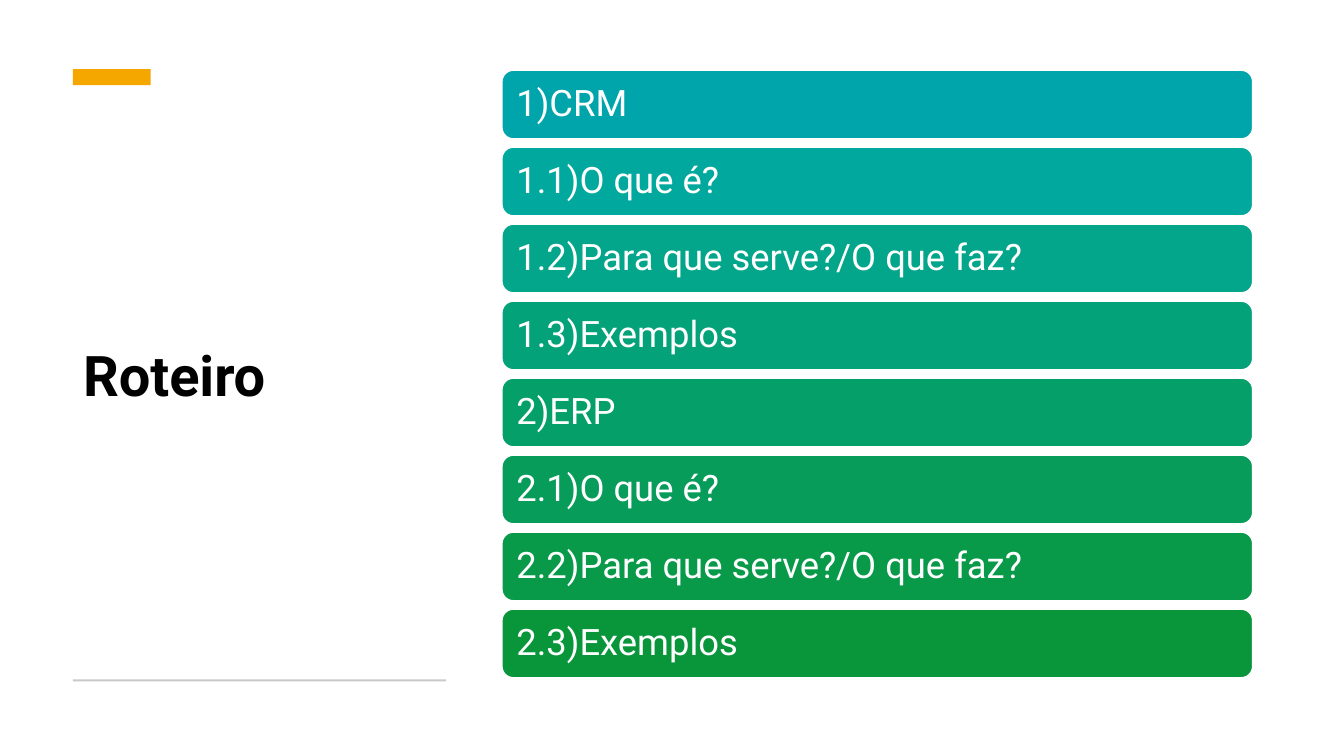
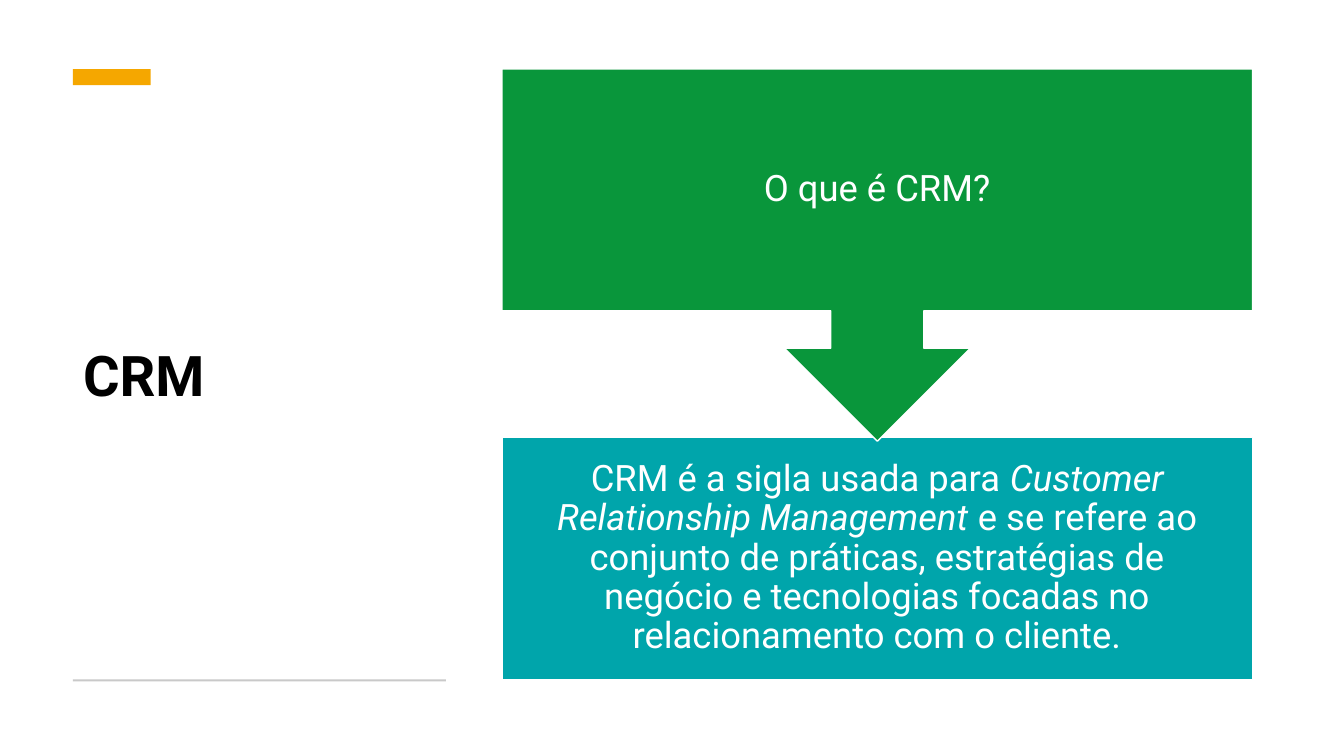
from dataclasses import dataclass

from pptx import Presentation
from pptx.dml.color import RGBColor
from pptx.enum import shapes, text
from pptx.util import Cm, Pt


@dataclass(frozen=True)
class Theme:
    font: str = "Roboto"
    title_size: int = 40
    body_size: int = 26
    line_spacing: float = 0.9
    ink: str = "000000"
    white: str = "FFFFFF"
    accent: str = "F5A700"
    rule: str = "C9C9C9"
    teal: str = "00A5AB"
    green: str = "09963B"
    # Gradual change from teal to green, one colour per agenda item
    steps: tuple = (teal, "01A89E", "03A58B", "04A279",
                    "059F69", "079C59", "089949", green)


theme = Theme()
PANEL_LEFT, PANEL_WIDTH = 12.65, 18.92
SIDE_LEFT, SIDE_WIDTH = 1.84, 9.4


def add_block(slide, kind, left, top, width, height, fill, runs=(),
              inset=0.28, align=text.PP_ALIGN.LEFT):
    """Filled shape; runs is a sequence of (wording, italic) pairs."""
    block = slide.shapes.add_shape(kind, Cm(left), Cm(top), Cm(width), Cm(height))
    block.shadow.inherit = False
    block.fill.solid()
    block.fill.fore_color.rgb = RGBColor.from_string(fill)
    if not runs:
        block.line.fill.background()
        return
    block.line.color.rgb = RGBColor.from_string(theme.white)
    block.line.width = Pt(1)
    frame = block.text_frame
    frame.word_wrap = True
    frame.vertical_anchor = text.MSO_ANCHOR.MIDDLE
    frame.margin_left = frame.margin_right = Cm(inset)
    frame.margin_top = frame.margin_bottom = Cm(inset)
    paragraph = frame.paragraphs[0]
    paragraph.alignment = align
    paragraph.line_spacing = theme.line_spacing
    for wording, italic in runs:
        run = paragraph.add_run()
        run.text = wording
        run.font.name = theme.font
        run.font.size = Pt(theme.body_size)
        run.font.italic = italic
        run.font.color.rgb = RGBColor.from_string(theme.white)


def start_slide(heading):
    """Slide with the shared left column: title, accent bar and rule."""
    slide = deck.slides.add_slide(title_only)
    title = slide.shapes.title
    title.left, title.top = Cm(SIDE_LEFT), Cm(2.67)
    title.width, title.height = Cm(SIDE_WIDTH), Cm(13.74)
    title.text_frame.text = heading
    title.text_frame.vertical_anchor = text.MSO_ANCHOR.MIDDLE
    paragraph = title.text_frame.paragraphs[0]
    paragraph.alignment = text.PP_ALIGN.LEFT
    paragraph.line_spacing = theme.line_spacing
    font = paragraph.runs[0].font
    font.name, font.size, font.bold = theme.font, Pt(theme.title_size), True
    font.color.rgb = RGBColor.from_string(theme.ink)

    rectangle = shapes.MSO_SHAPE.RECTANGLE
    add_block(slide, rectangle, SIDE_LEFT, 1.74, 1.96, 0.41, theme.accent)
    add_block(slide, rectangle, SIDE_LEFT, 17.12, SIDE_WIDTH, 0.05, theme.rule)
    return slide


deck = Presentation()
deck.slide_width, deck.slide_height = Cm(33.87), Cm(19.05)
title_only = deck.slide_layouts[5]

# Slide 1: agenda
agenda = start_slide("Roteiro")
topics = ("1)CRM", "1.1)O que é?", "1.2)Para que serve?/O que faz?", "1.3)Exemplos",
          "2)ERP", "2.1)O que é?", "2.2)Para que serve?/O que faz?", "2.3)Exemplos")
FIRST_TOP, ROW_HEIGHT, ROW_PITCH = 1.77, 1.73, 1.94
for row, (topic, colour) in enumerate(zip(topics, theme.steps)):
    add_block(agenda, shapes.MSO_SHAPE.ROUNDED_RECTANGLE,
              PANEL_LEFT, FIRST_TOP + row * ROW_PITCH, PANEL_WIDTH, ROW_HEIGHT,
              colour, [(topic, False)])

# Slide 2: question leading down to its answer
crm = start_slide("CRM")
answer = [
    ("CRM é a sigla usada para ", False),
    ("Customer Relationship Management", True),
    (" e se refere ao conjunto de práticas, estratégias de negócio e "
     "tecnologias focadas no relacionamento com o cliente.", False),
]
question = [("O que é CRM?", False)]
for kind, top, height, colour, runs in (
    (shapes.MSO_SHAPE.RECTANGLE, 11.02, 6.1, theme.teal, answer),
    (shapes.MSO_SHAPE.DOWN_ARROW_CALLOUT, 1.74, 9.38, theme.green, question),
):
    add_block(crm, kind, PANEL_LEFT, top, PANEL_WIDTH, height, colour, runs,
              inset=0.51, align=text.PP_ALIGN.CENTER)

deck.save("out.pptx")
